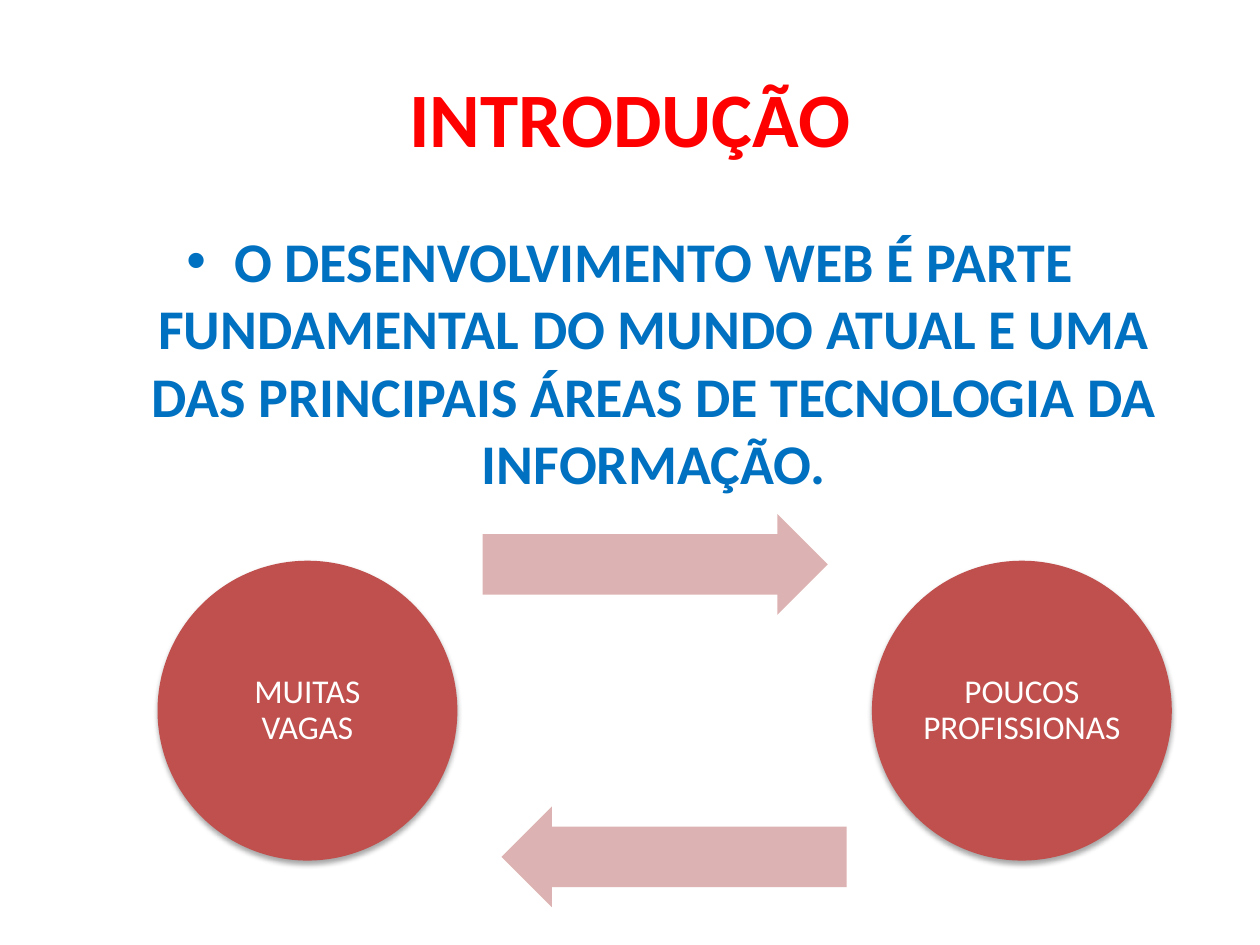
from lxml import etree
from pptx import Presentation
from pptx import util as u
from pptx.dml import color
from pptx.enum import shapes, text
from pptx.oxml import ns


def rgb(value):
    return color.RGBColor.from_string(value)


class SlideBuilder:
    font_name = "Calibri"
    circle_color = "C0504D"
    arrow_color = "DCB3B2"

    def __init__(self, slide):
        self.slide = slide

    def add_text(self, content, box, font, frame=None, paragraph=None, bullet_indent=None):
        shape = self.slide.shapes.add_textbox(*map(u.Inches, box))
        text_frame = shape.text_frame
        text_frame.word_wrap = True
        line = text_frame.paragraphs[0]
        line.text = content
        line.alignment = text.PP_ALIGN.CENTER
        if bullet_indent:
            self.add_bullet(line, bullet_indent)
        formats = {"name": self.font_name, **font}
        line.font.color.rgb = rgb(formats.pop("color"))
        for target, values in ((text_frame, frame), (line, paragraph), (line.font, formats)):
            for name, value in (values or {}).items():
                setattr(target, name, value)

    def add_bullet(self, paragraph, indent):
        properties = paragraph._p.get_or_add_pPr()
        properties.set("marL", str(u.Inches(indent)))
        properties.set("indent", str(-u.Inches(indent)))
        etree.SubElement(properties, ns.qn("a:buFont"), typeface="Arial")
        etree.SubElement(properties, ns.qn("a:buChar"), char="•")

    def add_solid(self, kind, box, fill):
        shape = self.slide.shapes.add_shape(kind, *map(u.Inches, box))
        shape.shadow.inherit = False
        shape.fill.solid()
        shape.fill.fore_color.rgb = rgb(fill)
        shape.line.fill.background()
        return shape

    def add_circle(self, label, left, top, size):
        shape = self.add_solid(
            shapes.MSO_SHAPE.OVAL, (left, top, size, size), self.circle_color)
        effects = shape._element.spPr.find(ns.qn("a:effectLst"))
        shadow = etree.SubElement(
            effects, ns.qn("a:outerShdw"), blurRad=str(u.Pt(3.1)),
            dist=str(u.Pt(1.8)), dir="5400000", rotWithShape="0")
        shade = etree.SubElement(shadow, ns.qn("a:srgbClr"), val="000000")
        etree.SubElement(shade, ns.qn("a:alpha"), val="35000")
        inset = 0.35
        margins = ("margin_left", "margin_top", "margin_right", "margin_bottom")
        self.add_text(
            label,
            (left + inset, top + inset, size - 2 * inset, size - 2 * inset),
            {"size": u.Pt(19), "color": "FFFFFF"},
            {"vertical_anchor": text.MSO_ANCHOR.MIDDLE,
             **dict.fromkeys(margins, u.Inches(0.03))},
            {"line_spacing": 0.9})

    def add_arrow(self, left, top, rotation):
        shape = self.add_solid(
            shapes.MSO_SHAPE.RIGHT_ARROW, (left, top, 2.74, 0.8), self.arrow_color)
        shape.adjustments[0] = 0.6
        shape.adjustments[1] = 0.5
        shape.rotation = rotation


def main():
    presentation = Presentation()
    presentation.slide_width = u.Inches(10)
    presentation.slide_height = u.Inches(7.5)
    builder = SlideBuilder(presentation.slides.add_slide(presentation.slide_layouts[6]))

    builder.add_text(
        "INTRODUÇÃO", (0.5, 0.3, 9, 1.25),
        {"size": u.Pt(44), "bold": True, "color": "FF0000"},
        {"vertical_anchor": text.MSO_ANCHOR.MIDDLE})
    builder.add_text(
        "O DESENVOLVIMENTO WEB É PARTE FUNDAMENTAL DO MUNDO ATUAL E UMA "
        "DAS PRINCIPAIS ÁREAS DE TECNOLOGIA DA INFORMAÇÃO.",
        (0.5, 1.75, 9, 4.95),
        {"size": u.Pt(32), "bold": True, "color": "0070C0"},
        bullet_indent=0.38)

    steps = (
        ("MUITAS VAGAS", 1.25, (3.83, 4.08, 0)),
        ("POUCOS PROFISSIONAS", 6.92, (3.98, 6.4, 180)),
    )
    for label, left, arrow in steps:
        builder.add_circle(label, left, 4.45, 2.38)
        builder.add_arrow(*arrow)

    presentation.save("out.pptx")


if __name__ == "__main__":
    main()
